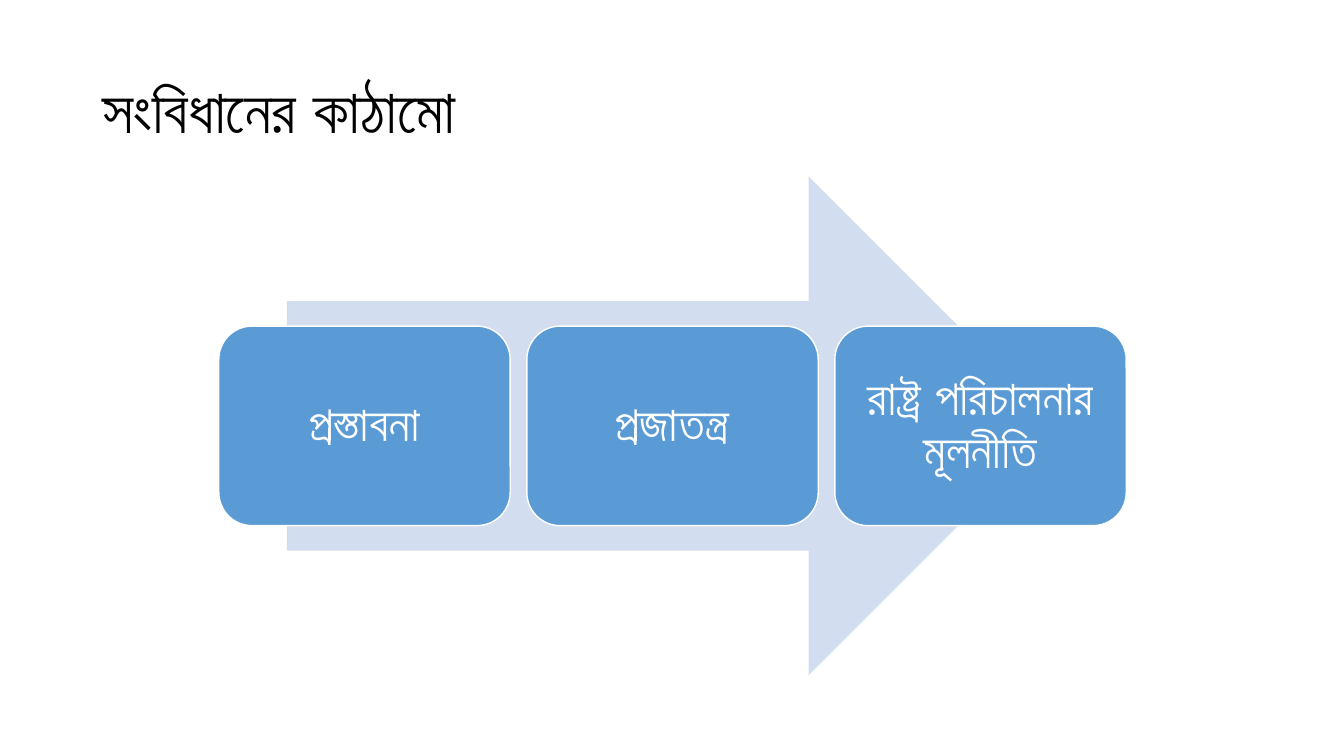
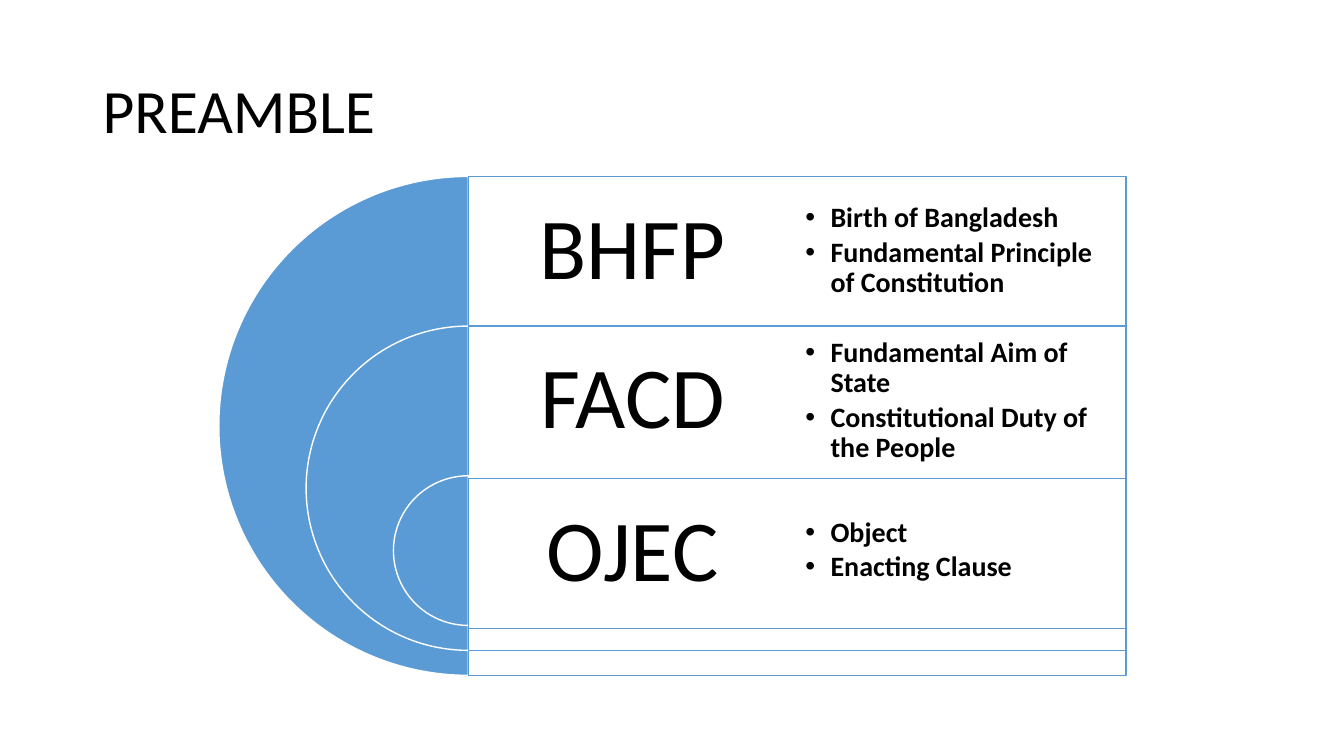
from lxml import etree
from pptx import Presentation
from pptx.dml.color import RGBColor
from pptx.enum import shapes, text
from pptx.oxml import ns
from pptx.util import Inches, Pt

COLORS = {"ink": "000000", "white": "FFFFFF", "blue": "5B9BD5", "pale": "D2DEEF"}
BENGALI, LATIN = "Arial", "Calibri"

STRUCTURE_TITLE = "সংবিধানের কাঠামো"
STEPS = ["প্রস্তাবনা", "প্রজাতন্ত্র", "রাষ্ট্র পরিচালনার মূলনীতি"]

PREAMBLE_TITLE = "PREAMBLE"
RINGS = [
    ("BHFP", ["Birth of Bangladesh", "Fundamental Principle of Constitution"], 1, 0),
    ("FACD", ["Fundamental Aim of State", "Constitutional Duty of the People"], 0.65, 0),
    ("OJEC", ["Object", "Enacting Clause"], 0.3, 0.03),
]

LEFT, TOP, WIDTH, HEIGHT = 2.17, 1.75, 9, 4.95


def color(name):
    return RGBColor.from_string(COLORS[name])


def add_bullet(paragraph, indent=0.25):
    props = paragraph._p.get_or_add_pPr()
    props.set("marL", str(Inches(indent)))
    props.set("indent", str(-Inches(indent)))
    etree.SubElement(props, ns.qn("a:buFont")).set("typeface", "Arial")
    etree.SubElement(props, ns.qn("a:buChar")).set("char", "•")


def write(shape, lines, size, font=LATIN, ink="ink", bold=False, center=False,
          inset=(0.1, 0.05), bullets=False, after=0):
    frame = shape.text_frame
    frame.word_wrap = True
    frame.vertical_anchor = text.MSO_ANCHOR.MIDDLE
    frame.margin_left = frame.margin_right = Inches(inset[0])
    frame.margin_top = frame.margin_bottom = Inches(inset[1])
    for index, line in enumerate(lines):
        paragraph = frame.add_paragraph() if index else frame.paragraphs[0]
        paragraph.line_spacing = 0.9
        paragraph.space_after = Pt(after)
        paragraph.alignment = text.PP_ALIGN.CENTER if center else text.PP_ALIGN.LEFT
        if bullets:
            add_bullet(paragraph)
        run = paragraph.add_run()
        run.text = line
        run.font.name = font
        run.font.size = Pt(size)
        run.font.bold = bold
        run.font.color.rgb = color(ink)
        script_font = etree.SubElement(run.font._element, ns.qn("a:cs"))
        script_font.set("typeface", font)


def add_text(slide, box, lines, size, **style):
    write(slide.shapes.add_textbox(*map(Inches, box)), lines, size, **style)


def add_figure(slide, kind, box, fill, line=None, opacity=None):
    figure = slide.shapes.add_shape(kind, *map(Inches, box))
    figure.shadow.inherit = False
    figure.fill.solid()
    figure.fill.fore_color.rgb = color(fill)
    if opacity:
        fill_color = figure._element.spPr.find(ns.qn("a:solidFill"))[0]
        etree.SubElement(fill_color, ns.qn("a:alpha")).set("val", str(opacity * 1000))
    if line:
        figure.line.color.rgb = color(line)
        figure.line.width = Pt(1)
    else:
        figure.line.fill.background()
    return figure


def add_titled_slide(deck, title, font):
    slide = deck.slides.add_slide(deck.slide_layouts[6])
    add_text(slide, (0.92, 0.4, 11.5, 1.45), [title], 44, font=font)
    return slide


def build_structure(deck):
    slide = add_titled_slide(deck, STRUCTURE_TITLE, BENGALI)
    arrow_width = WIDTH * 0.85
    arrow_left = LEFT + (WIDTH - arrow_width) / 2
    add_figure(slide, shapes.MSO_SHAPE.RIGHT_ARROW,
               (arrow_left, TOP, arrow_width, HEIGHT), "pale")
    step_width, step_height = 2.89, HEIGHT * 0.4
    pitch = (WIDTH - step_width) / (len(STEPS) - 1)
    step_top = TOP + (HEIGHT - step_height) / 2
    for index, label in enumerate(STEPS):
        step = add_figure(slide, shapes.MSO_SHAPE.ROUNDED_RECTANGLE,
                          (LEFT + index * pitch, step_top, step_width, step_height),
                          "blue", "white")
        write(step, [label], 35, font=BENGALI, ink="white", center=True,
              inset=(0.15, 0.15))


def build_preamble(deck):
    slide = add_titled_slide(deck, PREAMBLE_TITLE, LATIN)
    center = LEFT + HEIGHT / 2
    panel_width = LEFT + WIDTH - center
    column, row = panel_width / 2, HEIGHT * 0.3
    for index, (heading, items, scale, shift) in enumerate(RINGS):
        diameter = HEIGHT * scale
        ring_top = TOP + index * row
        panel_top = ring_top + shift
        ring = add_figure(slide, shapes.MSO_SHAPE.PIE,
                          (center - diameter / 2, ring_top, diameter, diameter),
                          "blue", "white")
        ring.adjustments[0], ring.adjustments[1] = 54, 162
        add_figure(slide, shapes.MSO_SHAPE.RECTANGLE,
                   (center, panel_top, panel_width, diameter), "white", "blue", opacity=90)
        add_text(slide, (center, panel_top, column, row), [heading], 62,
                 center=True, inset=(0.26, 0.26))
        add_text(slide, (center + column, ring_top, column, row), items, 20,
                 bold=True, inset=(0.08, 0.08), bullets=True, after=3)


def main():
    deck = Presentation()
    deck.slide_width, deck.slide_height = Inches(13.33), Inches(7.5)
    build_structure(deck)
    build_preamble(deck)
    deck.save("out.pptx")


if __name__ == "__main__":
    main()
